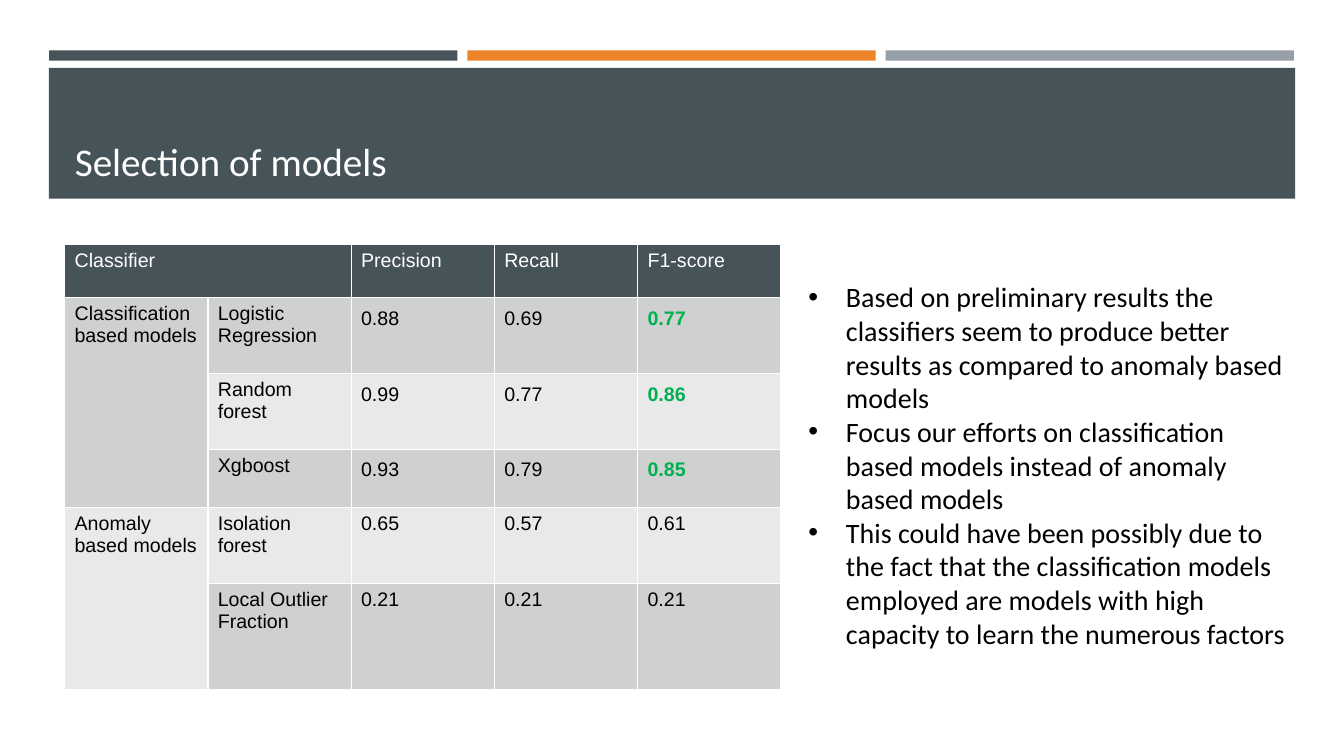
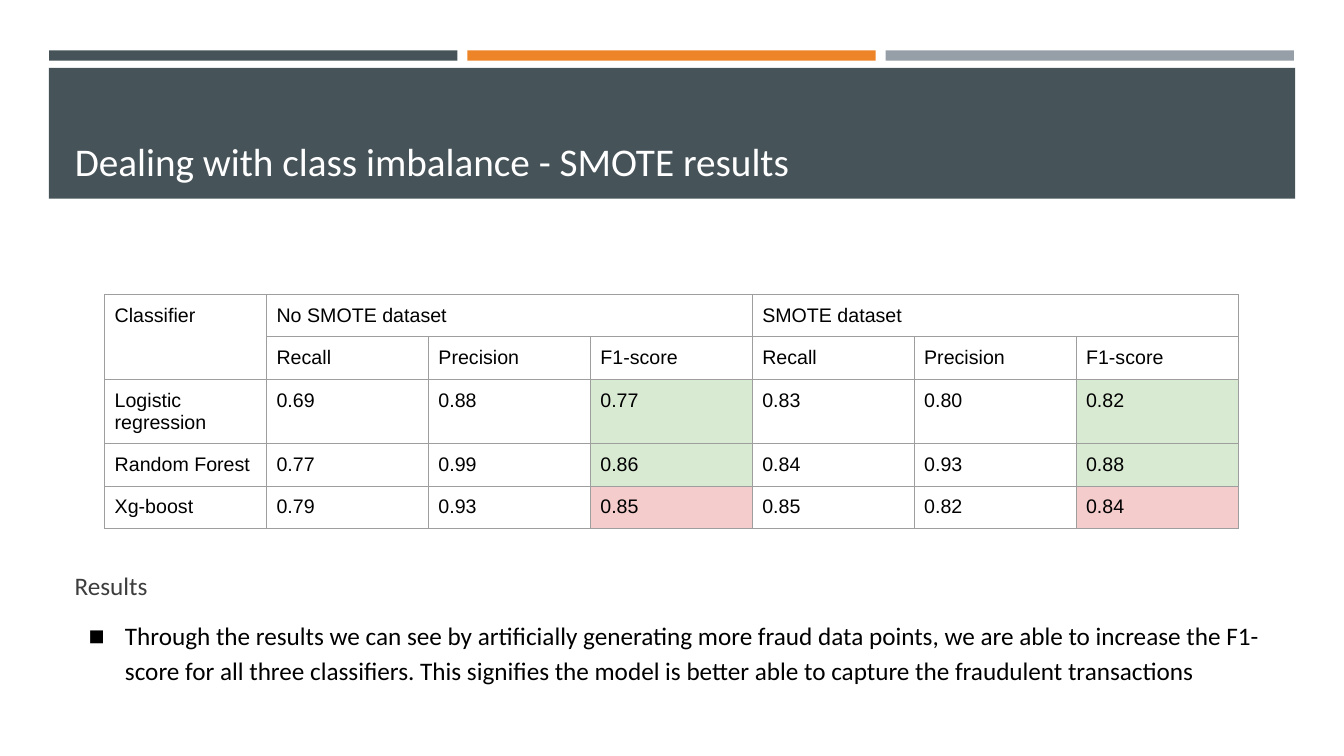
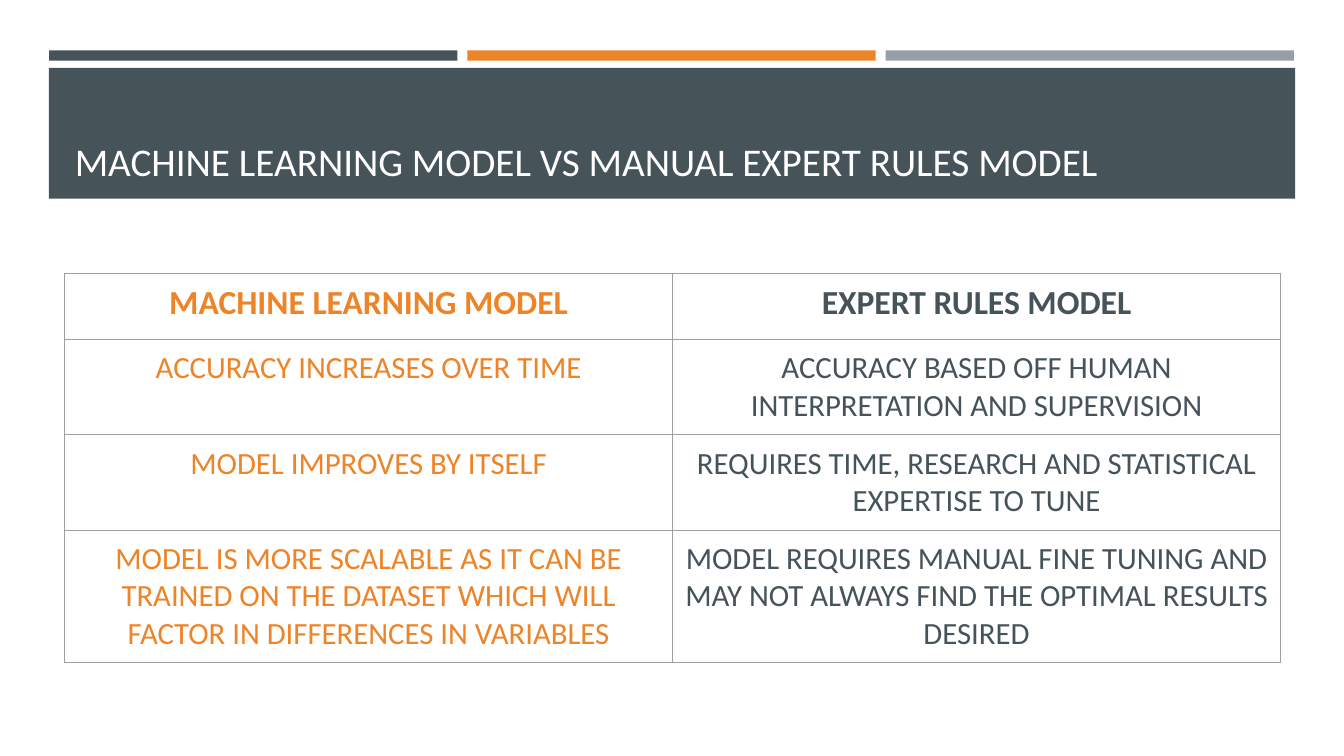
from lxml.etree import SubElement
from pptx import Presentation
from pptx.dml.color import RGBColor as RGB
from pptx.enum.shapes import MSO_SHAPE as Shape
from pptx.enum.text import MSO_ANCHOR as Anchor, PP_ALIGN as Align
from pptx.oxml.ns import qn
from pptx.util import Cm, Pt

HUE = {
    "slate": "465359", "orange": "ED8428", "grey": "969FA7",
    "white": "FFFFFF", "black": "000000", "text": "3D3D3D",
    "dark": "CFD1D1", "light": "E9E9EA", "edge": "9E9E9E",
    "win": "00B050", "good": "D9EAD3", "bad": "F4CCCC",
}


def put(frame, text, size=14, font="Arial", hue="black", bold=False,
        align=Align.LEFT, mark=None, left=0, hang=0, gap=0, lead=1):
    """Write one paragraph into a text frame."""
    frame.word_wrap = True
    par = frame.add_paragraph() if frame.text else frame.paragraphs[0]
    par.alignment, par.line_spacing = align, lead
    par.space_before = Pt(gap)
    run = par.add_run()
    run.text = text
    run.font.size, run.font.name, run.font.bold = Pt(size), font, bold
    run.font.color.rgb = RGB.from_string(HUE[hue])
    if mark:
        props = par._p.get_or_add_pPr()
        props.set("marL", str(Cm(left)))
        props.set("indent", str(-Cm(hang)))
        tint = SubElement(props, qn("a:buClr"))
        SubElement(tint, qn("a:srgbClr"), val=HUE[hue])
        SubElement(props, qn("a:buFont"), typeface="Arial")
        SubElement(props, qn("a:buChar"), char=mark)


def grid(slide, left, top, wide, highs, rows, spans, edge, line, look):
    """Add a table; look(r, c) gives a cell's fill, top margin and text format."""
    count = len(rows[0])
    table = slide.shapes.add_table(len(rows), count, Cm(left), Cm(top),
                                   Cm(wide * count), Cm(sum(highs))).table
    table.first_row = table.horz_banding = False
    for col in table.columns:
        col.width = Cm(wide)
    for row, high in zip(table.rows, highs):
        row.height = Cm(high)
    for r, c, r2, c2 in spans:
        table.cell(r, c).merge(table.cell(r2, c2))
    for r, row in enumerate(rows):
        for c, text in enumerate(row):
            cell = table.cell(r, c)
            fill, pad, form = look(r, c)
            cell.margin_left = cell.margin_right = Cm(0.25)
            cell.margin_top = cell.margin_bottom = Cm(pad)
            props = cell._tc.get_or_add_tcPr()
            for side in ("lnL", "lnR", "lnT", "lnB"):
                rule = SubElement(props, qn("a:" + side), w=str(Pt(line)))
                solid = SubElement(rule, qn("a:solidFill"))
                SubElement(solid, qn("a:srgbClr"), val=HUE[edge])
            if fill:
                cell.fill.solid()
                cell.fill.fore_color.rgb = RGB.from_string(HUE[fill])
            else:
                cell.fill.background()
            if text:
                put(cell.text_frame, text, **form)


deck = Presentation()
deck.slide_width, deck.slide_height = Cm(33.87), Cm(19.05)
base = deck.slide_layouts[5]
for holder in list(base.placeholders)[1:]:
    holder.element.getparent().remove(holder.element)

# Slides with their titles
slides = []
for name in ("Selection of models",
             "Dealing with class imbalance - SMOTE results",
             "MACHINE LEARNING MODEL VS MANUAL EXPERT RULES MODEL"):
    slide = deck.slides.add_slide(base)
    title = slide.shapes.title
    title.left, title.top = Cm(1.63), Cm(1.96)
    title.width, title.height = Cm(30.63), Cm(2.82)
    title.text_frame.vertical_anchor = Anchor.BOTTOM
    put(title.text_frame, name, size=28, font="Calibri", hue="white")
    slides.append(slide)
models, smote, rules = slides

# Bands, drawn once and moved to the shared layout
bars = [(1.24 + 10.54 * i, 1.27, 10.29, 0.26, hue)
        for i, hue in enumerate(("slate", "orange", "grey"))]
bands = []
for x, y, w, h, hue in bars + [(1.23, 1.71, 31.41, 3.3, "slate")]:
    band = models.shapes.add_shape(Shape.RECTANGLE, Cm(x), Cm(y), Cm(w), Cm(h))
    band.shadow.inherit = False
    band.fill.solid()
    band.fill.fore_color.rgb = RGB.from_string(HUE[hue])
    band.line.fill.background()
    bands.append(band)
for band in bands:
    base.shapes.element.insert(2, band.element)


# Slide 1: scores of all models
def score(r, c):
    if r == 0:
        return "slate", 0.13, {"hue": "white"}
    fill = "dark" if r % 2 else "light"
    best = c == 4 and r < 4
    pad = 0.25 if c > 1 and r < 4 else 0.13
    return fill, pad, {"hue": "win" if best else "black", "bold": best}


grid(models, 1.63, 6.15, 3.61, [1.35, 1.91, 1.91, 1.47, 1.91, 2.67], [
    ["Classifier", None, "Precision", "Recall", "F1-score"],
    ["Classification based models", "Logistic Regression", "0.88", "0.69", "0.77"],
    [None, "Random forest", "0.99", "0.77", "0.86"],
    [None, "Xgboost", "0.93", "0.79", "0.85"],
    ["Anomaly based models", "Isolation forest", "0.65", "0.57", "0.61"],
    [None, "Local Outlier Fraction", "0.21", "0.21", "0.21"],
], [(0, 0, 0, 1), (1, 0, 3, 0), (4, 0, 5, 0)], "white", 1, score)

notes = models.shapes.add_textbox(Cm(20.12), Cm(6.93), Cm(12.85), Cm(9.65))
for text in (
    "Based on preliminary results the classifiers seem to produce better "
    "results as compared to anomaly based models",
    "Focus our efforts on classification based models instead of anomaly "
    "based models",
    "This could have been possibly due to the fact that the classification "
    "models employed are models with high capacity to learn the numerous factors",
):
    put(notes.text_frame, text, size=20, font="Calibri", mark="•",
        left=0.95, hang=0.95)


# Slide 2: scores with and without SMOTE
def change(r, c):
    fill = None
    if r > 1 and c in (3, 6):
        fill = "bad" if r == 4 else "good"
    return fill, 0.25, {}


grid(smote, 2.64, 7.42, 4.08, [1.07, 1.07, 1.62, 1.07, 1.07], [
    ["Classifier", "No SMOTE dataset", None, None, "SMOTE dataset", None, None],
    [None] + ["Recall", "Precision", "F1-score"] * 2,
    ["Logistic regression", "0.69", "0.88", "0.77", "0.83", "0.80", "0.82"],
    ["Random Forest", "0.77", "0.99", "0.86", "0.84", "0.93", "0.88"],
    ["Xg-boost", "0.79", "0.93", "0.85", "0.85", "0.82", "0.84"],
], [(0, 0, 1, 0), (0, 1, 0, 3), (0, 4, 0, 6)], "edge", 0.75, change)

found = smote.shapes.add_textbox(Cm(1.63), Cm(14.17), Cm(31.22), Cm(4.88))
put(found.text_frame, "Results", size=18, font="Calibri", hue="text", lead=1.1)
put(found.text_frame,
    "Through the results we can see by artificially generating more fraud data "
    "points, we are able to increase the F1-score for all three classifiers. "
    "This signifies the model is better able to capture the fraudulent "
    "transactions",
    size=18, font="Calibri", mark="◼", left=1.27, hang=0.91, gap=11, lead=1.15)


# Slide 3: learned model against expert rules
def versus(r, c):
    return None, 0.25, {"size": 22 if r else 24, "font": "Calibri",
                        "hue": "slate" if c else "orange",
                        "bold": r == 0, "align": Align.CENTER}


grid(rules, 1.63, 6.88, 15.32, [1.68, 2.4, 2.4, 3.32], [
    ["MACHINE LEARNING MODEL", "EXPERT RULES MODEL"],
    ["ACCURACY INCREASES OVER TIME",
     "ACCURACY BASED OFF HUMAN INTERPRETATION AND SUPERVISION"],
    ["MODEL IMPROVES BY ITSELF",
     "REQUIRES TIME, RESEARCH AND STATISTICAL EXPERTISE TO TUNE"],
    ["MODEL IS MORE SCALABLE AS IT CAN BE TRAINED ON THE DATASET WHICH WILL "
     "FACTOR IN DIFFERENCES IN VARIABLES",
     "MODEL REQUIRES MANUAL FINE TUNING AND MAY NOT ALWAYS FIND THE OPTIMAL "
     "RESULTS DESIRED"],
], [], "edge", 0.75, versus)

deck.save("out.pptx")
